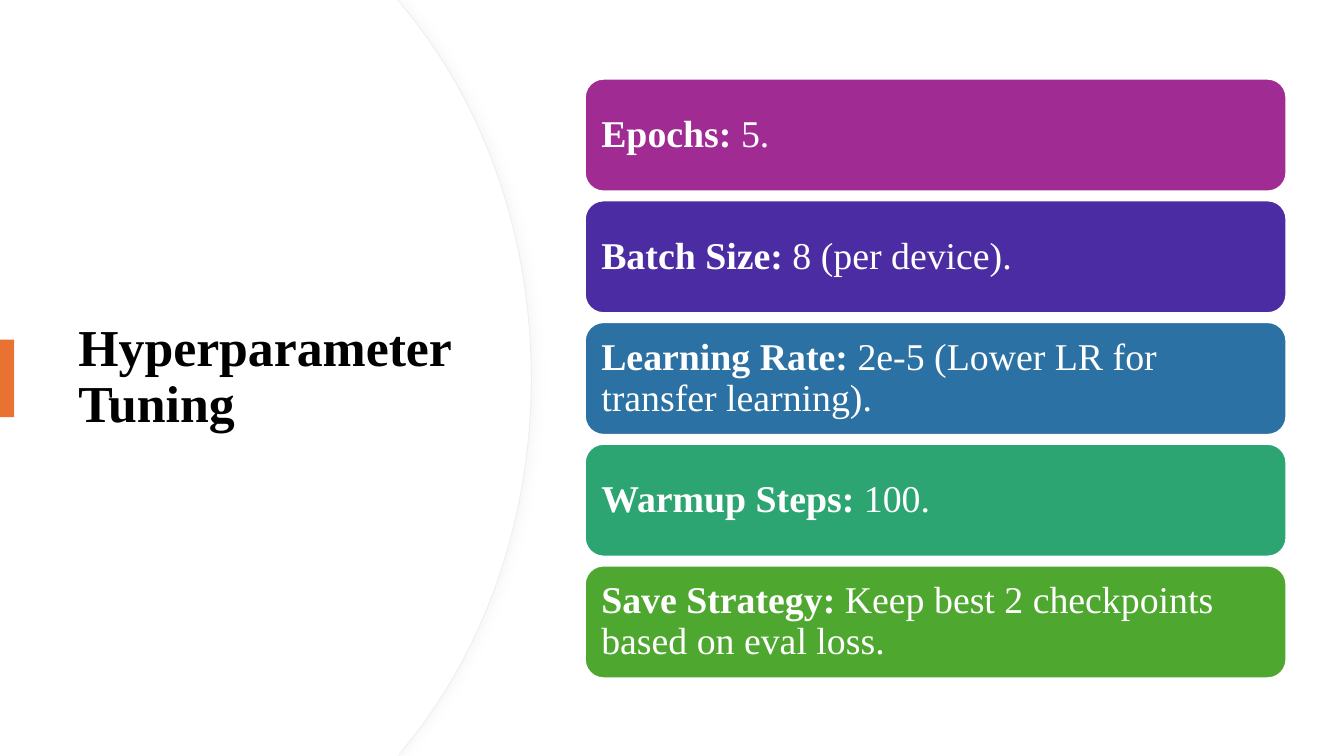
import pptx
import pptx.util
import pptx.dml.color
import pptx.enum.shapes
import pptx.enum.text
import pptx.oxml
import pptx.oxml.ns

Inches = pptx.util.Inches
Pt = pptx.util.Pt
qn = pptx.oxml.ns.qn
SHAPE = pptx.enum.shapes.MSO_SHAPE
FONT = {"name": "Times New Roman"}
SETTINGS = [
    ("Epochs:", " 5.", "A02B93"),
    ("Batch Size:", " 8 (per device).", "4B2CA2"),
    ("Learning Rate:", " 2e-5 (Lower LR for transfer learning).", "2C71A4"),
    ("Warmup Steps:", " 100.", "2DA573"),
    ("Save Strategy:", " Keep best 2 checkpoints based on eval loss.", "4EA72E"),
]


def rgb(color):
    return pptx.dml.color.RGBColor.from_string(color)


def paint(sp, fill, line=None, width=0.75):
    sp.shadow.inherit = False
    sp.fill.solid()
    sp.fill.fore_color.rgb = rgb(fill)
    if line:
        sp.line.color.rgb = rgb(line)
        sp.line.width = Pt(width)
    else:
        sp.line.fill.background()


def write(sp, runs, inset, color):
    tf = sp.text_frame
    frame = {"word_wrap": True, "vertical_anchor": pptx.enum.text.MSO_ANCHOR.MIDDLE}
    frame.update({f"margin_{side}": Inches(inset) for side in ("left", "right", "top", "bottom")})
    for key, value in frame.items():
        setattr(tf, key, value)
    p = tf.paragraphs[0]
    p.alignment = pptx.enum.text.PP_ALIGN.LEFT
    p.line_spacing = 0.9
    for text, size, bold in runs:
        r = p.add_run()
        r.text = text
        for key, value in {**FONT, "size": Pt(size), "bold": bold}.items():
            setattr(r.font, key, value)
        r.font.color.rgb = rgb(color)


def add_shadow(sp):
    effects = sp._element.spPr.find(qn("a:effectLst"))
    effects.append(pptx.oxml.parse_xml(
        f'<a:outerShdw {pptx.oxml.ns.nsdecls("a")} blurRad="{Pt(7)}" dist="{Pt(3)}" dir="0" '
        'algn="l" rotWithShape="0"><a:srgbClr val="D9D9D9"><a:alpha val="20000"/>'
        '</a:srgbClr></a:outerShdw>'))


def bend(sp, first):
    lines = list(sp._element.iter(qn("a:lnTo")))
    group = lines[first:first + 3]
    curve = pptx.oxml.parse_xml(f'<a:cubicBezTo {pptx.oxml.ns.nsdecls("a")}/>')
    group[0].addprevious(curve)
    for line in group:
        curve.append(line[0])
        line.getparent().remove(line)


def add_curved_panel(s, x, y, w, h, line=None):
    upper = [(3.94, 0), (w - 1.26, 0.08), (w - 0.48, 1.02), (w, 2.32)]
    lower = [(px, h - py) for px, py in reversed(upper)]
    outline = upper + [(w, h / 2)] + lower + [(0, h)]
    builder = s.shapes.build_freeform(Inches(x), Inches(y), scale=1.0)
    builder.add_line_segments([(Inches(x + px), Inches(y + py)) for px, py in outline], close=True)
    sp = builder.convert_to_shape()
    for first in (5, 2):
        bend(sp, first)
    paint(sp, "FFFFFF", line)
    return sp


def add_title_panel(s, x, y, w, h):
    add_shadow(add_curved_panel(s, x, y, w, h, "EFEFEF"))
    add_curved_panel(s, x, y, w - 0.01, h)
    title = s.shapes.add_textbox(Inches(x + 0.68), Inches(y + 1.27), Inches(3.94), Inches(4.95))
    write(title, [("Hyperparameter Tuning", 37, True)], 0.1, "000000")
    accent = s.shapes.add_shape(SHAPE.RECTANGLE, Inches(x), Inches(y + 3.37), Inches(0.14), Inches(0.77))
    paint(accent, "E97132")


def add_settings(s, x, y, w, h):
    card_h = 1.12
    pitch = (h - card_h) / (len(SETTINGS) - 1)
    for i, (name, value, color) in enumerate(SETTINGS):
        card = s.shapes.add_shape(SHAPE.ROUNDED_RECTANGLE, Inches(x), Inches(y + i * pitch),
                                  Inches(w), Inches(card_h))
        paint(card, color, "FFFFFF", 1.5)
        write(card, [(name, 27, True), (value, 27, False)], 0.11, "FFFFFF")


def main():
    prs = pptx.Presentation()
    prs.slide_width, prs.slide_height = Inches(13.33), Inches(7.5)
    s = prs.slides.add_slide(prs.slide_layouts[6])
    add_title_panel(s, 0, 0, 5.27, 7.5)
    add_settings(s, 5.8, 0.78, 6.96, 5.95)
    prs.save("out.pptx")


if __name__ == "__main__":
    main()
